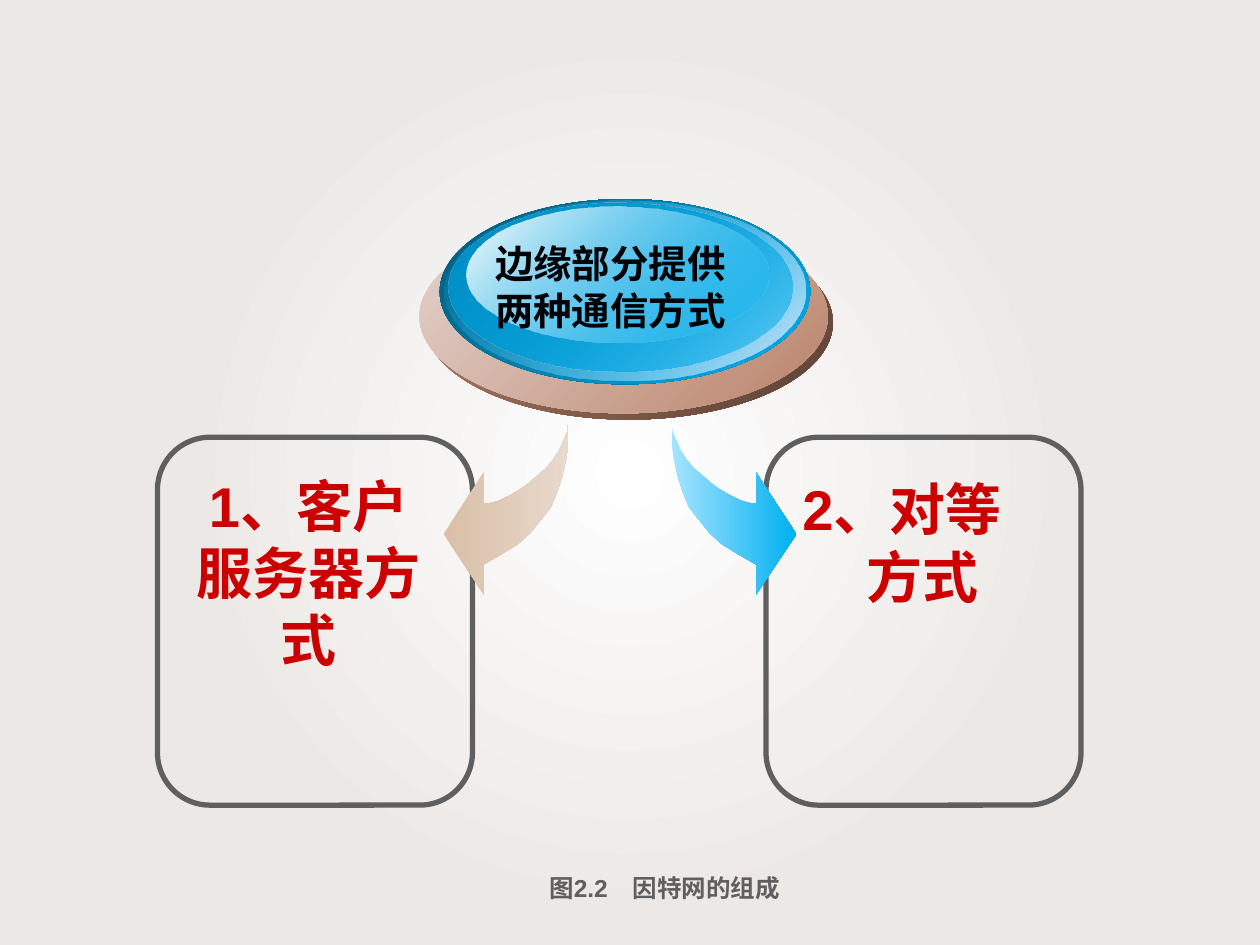
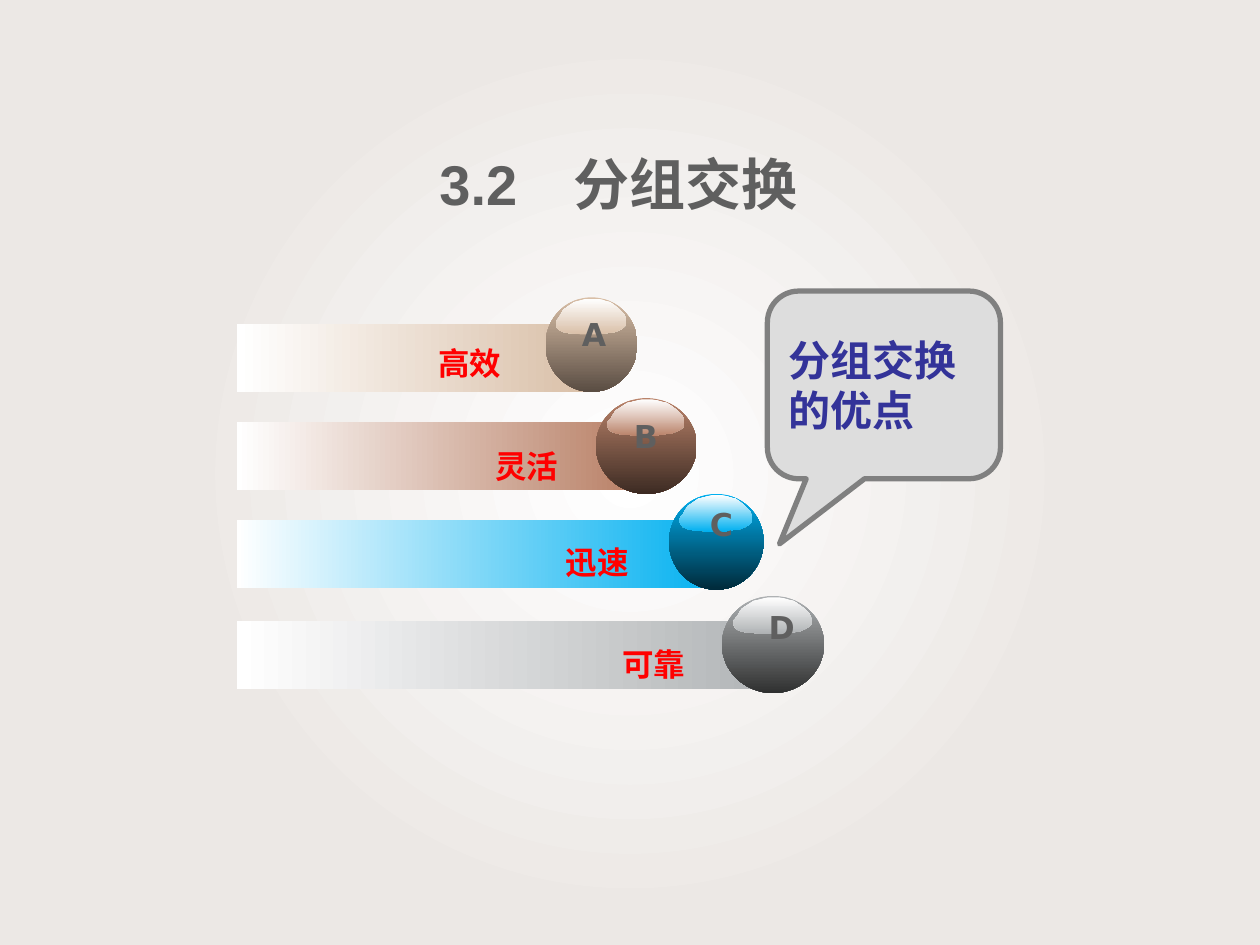
from dataclasses import dataclass

from lxml import etree
from pptx import Presentation
from pptx.dml.color import RGBColor
from pptx.enum import shapes, text
from pptx.oxml import ns
from pptx.util import Inches, Pt


@dataclass(frozen=True)
class Theme:
    latin: str = "Arial"
    asian: str = "Noto Sans CJK SC"
    letter_font: str = "DejaVu Sans"
    white: str = "FFFFFF"
    backdrop: str = "ECE8E5"
    gray: str = "5F5F5F"
    black: str = "000104"
    crimson: str = "CC0000"
    red: str = "FF0000"
    navy: str = "333399"
    callout_fill: str = "DDDDDD"
    callout_line: str = "808080"
    tan: str = "D9BFA7"
    tan_light: str = "E8D9CD"
    tan_dark: str = "5A4D43"
    brown: str = "BA836A"
    brown_light: str = "E4D4CF"
    brown_shadow: str = "5A3F33"
    brown_dark: str = "3D2B23"
    blue: str = "00B0F0"
    blue_light: str = "A6E4FF"
    blue_pale: str = "D4E7FA"
    blue_mid: str = "0090C8"
    blue_rim: str = "005878"
    blue_dark: str = "002A3B"
    silver: str = "AFB2B4"
    silver_dark: str = "2F3030"
    heading: float = 32
    callout: float = 24
    lens: float = 22
    label: float = 18
    caption: float = 14


THEME = Theme()
ALIGN = text.PP_ALIGN
SHAPE = shapes.MSO_SHAPE

# Left curved arrow in inches; the right one is its mirror image
ARROW = [
    (4.51, 3.36), (4.51, 3.52), (4.49, 3.66), (4.46, 3.79), (4.42, 3.91),
    (4.37, 4.03), (4.29, 4.13), (4.21, 4.23), (4.11, 4.32), (3.98, 4.4),
    (3.84, 4.48), (3.84, 4.72), (3.52, 4.24), (3.84, 3.75), (3.84, 4),
    (3.91, 3.99), (3.97, 3.97), (4.05, 3.93), (4.12, 3.89), (4.19, 3.84),
    (4.26, 3.78), (4.33, 3.72), (4.39, 3.65), (4.44, 3.57), (4.47, 3.5),
    (4.5, 3.43),
]
MIRROR_SUM = 9.84

# Highlight on a sphere, in percent of its own box
GLOSS = [
    (99, 55), (100, 62), (100, 72), (97, 79), (92, 86), (84, 93), (69, 97),
    (61, 100), (37, 100), (27, 97), (18, 96), (11, 93), (5, 88), (2, 81),
    (0, 72), (1, 62), (5, 52), (8, 41), (11, 31), (16, 24), (21, 17),
    (26, 10), (32, 7), (39, 3), (45, 0), (58, 0), (65, 3), (71, 7),
    (77, 10), (82, 17), (89, 28), (92, 34), (97, 45),
]


def set_gradient(shape, stops, angle=0, radial=False):
    """Fill with (position, colour[, opacity]) stops, all in percent."""
    shape.fill.background()
    properties = shape._element.spPr
    gradient = etree.Element(ns.qn("a:gradFill"), rotWithShape="1")
    stop_list = etree.SubElement(gradient, ns.qn("a:gsLst"))
    for position, color, *opacity in stops:
        stop = etree.SubElement(stop_list, ns.qn("a:gs"), pos=str(position * 1000))
        rgb = etree.SubElement(stop, ns.qn("a:srgbClr"), val=color)
        if opacity:
            etree.SubElement(rgb, ns.qn("a:alpha"), val=str(opacity[0] * 1000))
    if radial:
        route = etree.SubElement(gradient, ns.qn("a:path"), path="circle")
        etree.SubElement(route, ns.qn("a:fillToRect"),
                         dict.fromkeys("ltrb", "50000"))
    else:
        etree.SubElement(gradient, ns.qn("a:lin"), ang=str(angle * 60000), scaled="0")
    properties.replace(properties.find(ns.qn("a:noFill")), gradient)


def add_figure(slide, kind, box, fill=None, line=None, adjustments=()):
    shape = slide.shapes.add_shape(kind, *map(Inches, box))
    shape.shadow.inherit = False
    for index, value in enumerate(adjustments):
        shape.adjustments[index] = value
    if fill:
        shape.fill.solid()
        shape.fill.fore_color.rgb = RGBColor.from_string(fill)
    else:
        shape.fill.background()
    if line:
        shape.line.color.rgb = RGBColor.from_string(line)
        shape.line.width = Pt(3)
    else:
        shape.line.fill.background()
    return shape


def add_gradient_figure(slide, kind, box, start, end, angle=0):
    """Take start and end as (colour[, opacity])."""
    shape = add_figure(slide, kind, box)
    set_gradient(shape, [(0, *start), (100, *end)], angle)
    return shape


def add_outline(slide, points, start, end, angle=0):
    first, *rest = [(Inches(x), Inches(y)) for x, y in points]
    builder = slide.shapes.build_freeform(*first)
    builder.add_line_segments(rest, close=True)
    shape = builder.convert_to_shape()
    shape.shadow.inherit = False
    shape.line.fill.background()
    set_gradient(shape, [(0, start), (100, end)], angle)


def write(shape, content, size, color, font=THEME.latin, align=ALIGN.LEFT,
          anchor=text.MSO_ANCHOR.TOP, wrap=True, indents=(), spacing=None):
    """Write one paragraph per line of content."""
    frame = shape.text_frame
    frame.auto_size = text.MSO_AUTO_SIZE.NONE
    frame.word_wrap = wrap
    frame.vertical_anchor = anchor
    for index, line in enumerate(content.split("\n")):
        paragraph = frame.add_paragraph() if index else frame.paragraphs[0]
        paragraph.alignment = align
        if spacing:
            paragraph.line_spacing = spacing
        if index < len(indents):
            paragraph._p.get_or_add_pPr().set("marL", str(Inches(indents[index])))
        run = paragraph.add_run()
        run.text = line
        run.font.size = Pt(size)
        run.font.bold = True
        run.font.color.rgb = RGBColor.from_string(color)
        run.font.name = font
        latin = run._r.rPr.find(ns.qn("a:latin"))
        latin.addnext(etree.Element(ns.qn("a:ea"), typeface=THEME.asian))


def add_text(slide, box, content, size, color, **format_options):
    shape = slide.shapes.add_textbox(*map(Inches, box))
    write(shape, content, size, color, **format_options)
    return shape


def add_backdrop(presentation, slide):
    """Place the radial glow behind everything on the slide master."""
    backdrop = add_figure(slide, SHAPE.RECTANGLE, (0, 0, 10, 7.52))
    set_gradient(backdrop, [(0, THEME.white), (57, THEME.backdrop)], radial=True)
    backdrop._element.nvSpPr.cNvPr.set("id", "99")
    presentation.slide_master.shapes._spTree.insert(2, backdrop._element)


def add_sphere(slide, box, color, dark):
    left, top, width, height = box
    add_gradient_figure(slide, SHAPE.OVAL, box, (color,), (dark,), 90)
    gloss = [(left + width * (0.11 + 0.77 * x / 100),
              top + 0.01 + height * 0.38 * y / 100) for x, y in GLOSS]
    add_outline(slide, gloss, THEME.white, color, 90)


def add_lens(slide):
    layers = [
        ((3.37, 1.79, 3.24, 1.54), (THEME.brown,), (THEME.brown_shadow,)),
        ((3.33, 1.74, 3.24, 1.54), (THEME.brown_light,), (THEME.brown,)),
        ((3.49, 1.58, 2.94, 1.47), (THEME.blue_rim,), (THEME.blue,)),
        ((3.53, 1.59, 2.86, 1.43), (THEME.blue, 0), (THEME.blue_pale,)),
        ((3.56, 1.61, 2.73, 1.34), (THEME.blue_mid,), (THEME.blue, 48)),
        ((3.7, 1.64, 2.4, 1.08), (THEME.white,), (THEME.blue, 38)),
    ]
    for box, start, end in layers:
        add_gradient_figure(slide, SHAPE.OVAL, box, start, end, 45)
    add_text(slide, (3.58, 1.86, 2.53, 0.83), "边缘部分提供\n两种通信方式",
             THEME.lens, THEME.black, align=ALIGN.CENTER)


def build_modes_slide(slide):
    # Panels for the two modes
    for left in (1.25, 6.08):
        add_figure(slide, SHAPE.ROUNDED_RECTANGLE, (left, 3.47, 2.5, 2.92),
                   line=THEME.gray, adjustments=(0.167,))
    add_text(slide, (1.35, 3.69, 2.2, 1.72), "1、客户服务器方式",
             THEME.heading, THEME.crimson, align=ALIGN.CENTER)
    add_text(slide, (6.27, 3.72, 2.23, 1.18), "2、对等\n方式",
             THEME.heading, THEME.crimson, indents=(0, 0.51))

    # Arrows from the lens to the panels
    add_outline(slide, ARROW, THEME.tan, THEME.tan_light)
    add_outline(slide, [(MIRROR_SUM - x, y) for x, y in ARROW],
                THEME.blue_light, THEME.blue)
    add_lens(slide)
    add_text(slide, (3.36, 6.88, 3.83, 0.34), "图2.2　因特网的组成",
             THEME.caption, THEME.gray, align=ALIGN.CENTER)


def build_advantages_slide(slide):
    # Title
    title = slide.shapes.title
    title.left, title.top, title.width, title.height = map(
        Inches, (1.76, 1.21, 6.3, 0.76))
    frame = title.text_frame
    frame.margin_left = frame.margin_right = Inches(0.07)
    frame.margin_top = frame.margin_bottom = Inches(0.04)
    write(title, "3.2　分组交换", THEME.heading, THEME.gray,
          align=ALIGN.CENTER, spacing=0.9)

    # Bars: letter, its place, label, its right and top, bar top and width, sphere, colours
    rows = [
        ("A", (4.52, 2.45), "高效", (4.13, 2.68), (2.57, 2.82),
         (4.33, 2.36, 0.73, 0.75), THEME.tan, THEME.tan_dark),
        ("B", (4.93, 3.26), "灵活", (4.58, 3.5), (3.35, 3.11),
         (4.73, 3.16, 0.8, 0.76), THEME.brown, THEME.brown_dark),
        ("C", (5.53, 3.96), "迅速", (5.14, 4.26), (4.13, 3.86),
         (5.31, 3.92, 0.75, 0.76), THEME.blue, THEME.blue_dark),
        ("D", (6.01, 4.78), "可靠", (5.59, 5.07), (4.93, 4.38),
         (5.73, 4.73, 0.81, 0.77), THEME.silver, THEME.silver_dark),
    ]
    for letter, place, label, (right, label_top), (top, width), sphere, color, dark in rows:
        add_gradient_figure(slide, SHAPE.RECTANGLE, (1.88, top, width, 0.54),
                            (THEME.white,), (color,))
        add_sphere(slide, sphere, color, dark)
        add_text(slide, (*place, 0.39, 0.4), letter, THEME.label, THEME.gray,
                 font=THEME.letter_font, align=ALIGN.CENTER, wrap=False)
        label_box = add_text(slide, (right - 2.07, label_top, 2.07, 0.4), label,
                             THEME.label, THEME.red, align=ALIGN.RIGHT)
        label_box.text_frame.margin_right = Inches(0.15)

    # Callout
    callout = add_figure(slide, SHAPE.ROUNDED_RECTANGULAR_CALLOUT,
                         (6.09, 2.31, 1.85, 1.49), THEME.callout_fill,
                         THEME.callout_line, (-0.448, 0.847, 0.167))
    write(callout, "分组交换的优点", THEME.callout, THEME.navy,
          anchor=text.MSO_ANCHOR.MIDDLE)


def main():
    presentation = Presentation()
    presentation.slide_width = Inches(10)
    presentation.slide_height = Inches(7.5)
    title_only, blank = presentation.slide_layouts[5], presentation.slide_layouts[6]
    modes = presentation.slides.add_slide(blank)
    add_backdrop(presentation, modes)
    build_modes_slide(modes)
    build_advantages_slide(presentation.slides.add_slide(title_only))
    presentation.save("out.pptx")


if __name__ == "__main__":
    main()
